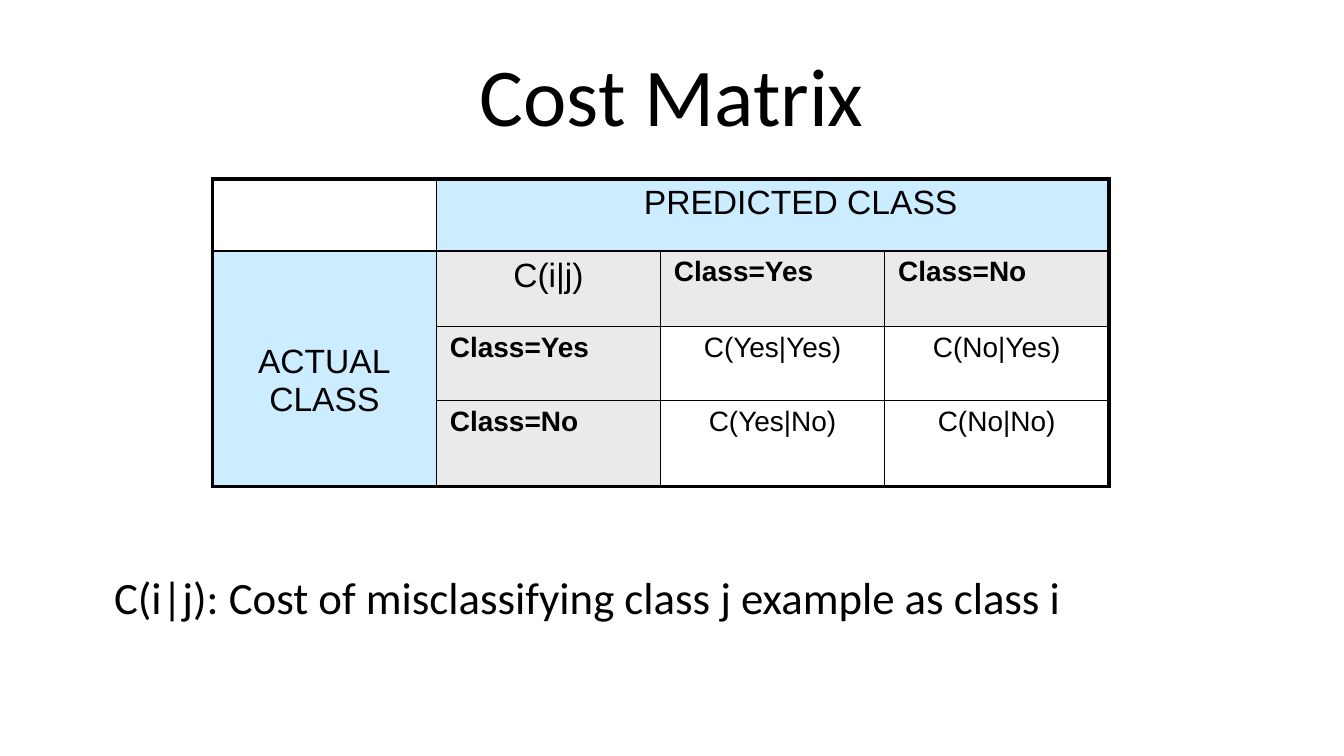
from pptx import Presentation
from pptx.util import Inches, Pt
from pptx.dml.color import RGBColor
from pptx.enum.text import PP_ALIGN, MSO_ANCHOR
from lxml.etree import SubElement
from pptx.oxml.ns import qn


def write(frame, text, size, font, align=PP_ALIGN.LEFT, bold=False):
    frame.word_wrap = True
    para = frame.paragraphs[0]
    para.alignment = align
    for i, line in enumerate(text.split("\n")):
        if i:
            para.add_line_break()
        run = para.add_run()
        run.text = line
        run.font.size = Pt(size)
        run.font.name = font
        run.font.bold = bold
        run.font.color.rgb = RGBColor.from_string("000000")
    return para


def edge(cell, sides):
    props = cell._tc.get_or_add_tcPr()
    for i, (side, thick) in enumerate(sides.items()):
        line = SubElement(props, qn("a:" + side), w=str(Pt(2.25 if thick else 1)))
        fill = SubElement(line, qn("a:solidFill"))
        SubElement(fill, qn("a:srgbClr"), val="000000")
        props.insert(i, line)


deck = Presentation()
deck.slide_width = Inches(10)
deck.slide_height = Inches(10 * 9 / 16)
slide = deck.slides.add_slide(deck.slide_layouts[6])

title = slide.shapes.add_textbox(Inches(0.5), Inches(0.23), Inches(9), Inches(0.94))
title.text_frame.vertical_anchor = MSO_ANCHOR.MIDDLE
write(title.text_frame, "Cost Matrix", 44, "Calibri", PP_ALIGN.CENTER)

grid = [
    ["", "PREDICTED CLASS", "", ""],
    ["ACTUAL\nCLASS", "C(i|j)", "Class=Yes", "Class=No"],
    ["", "Class=Yes", "C(Yes|Yes)", "C(No|Yes)"],
    ["", "Class=No", "C(Yes|No)", "C(No|No)"],
]
highs = [0.54, 0.56, 0.55, 0.64]
frame = slide.shapes.add_table(4, 4, Inches(1.58), Inches(1.33), Inches(6.67), Inches(sum(highs)))
table = frame.table
table.first_row = table.horz_banding = False
style = table._tbl.tblPr.find(qn("a:tableStyleId"))
style.text = "{2D5ABB26-0587-4C30-8999-92F81FD0307C}"
for col in table.columns:
    col.width = Inches(6.67 / 4)
for row, high in zip(table.rows, highs):
    row.height = Inches(high)
head = table.cell(0, 1)
head.merge(table.cell(0, 3))
side = table.cell(1, 0)
side.merge(table.cell(3, 0))

for r, row in enumerate(grid):
    for c, text in enumerate(row):
        cell = table.cell(r, c)
        cell.margin_left = cell.margin_right = Inches(0.1)
        cell.margin_top = cell.margin_bottom = Inches(0.04)
        if r == c == 0 or (r > 1 and c > 1):
            cell.fill.background()
        else:
            cell.fill.solid()
            tone = "CCECFF" if r == 0 or c == 0 else "EAEAEA"
            cell.fill.fore_color.rgb = RGBColor.from_string(tone)
        if text:
            label = text.startswith("Class=")
            align = PP_ALIGN.LEFT if label else PP_ALIGN.CENTER
            size = 15 if label or r > 1 else 18
            para = write(cell.text_frame, text, size, "Arial", align, label)
            para.space_after = Pt(4)
        right = c + (cell.span_width if cell.is_merge_origin else 1)
        base = r + (cell.span_height if cell.is_merge_origin else 1)
        edge(cell, {"lnL": c == 0, "lnR": right == 4, "lnT": r == 0, "lnB": base == 4})

head.margin_left = Inches(0.52)
side.vertical_anchor = MSO_ANCHOR.MIDDLE
side.margin_top = Inches(0.22)

note = slide.shapes.add_textbox(Inches(0.75), Inches(4.19), Inches(8.58), Inches(0.75))
para = write(note.text_frame, "C(i|j): Cost of misclassifying class j example as class i", 24, "Calibri")
props = para._p.get_or_add_pPr()
props.set("marL", str(Inches(0.32)))
props.set("indent", str(Inches(-0.32)))

deck.save("out.pptx")
